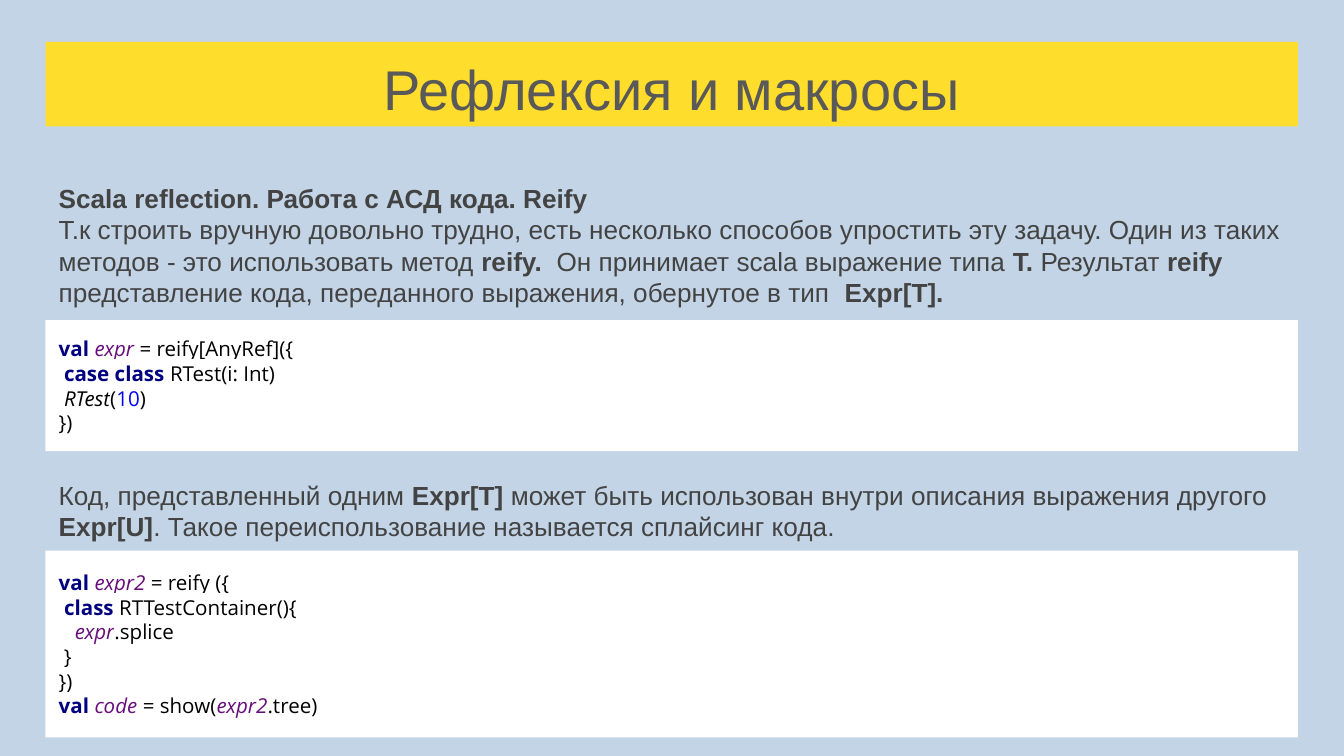
from dataclasses import dataclass

from lxml import etree
from pptx import Presentation
from pptx.dml.color import RGBColor
from pptx.enum.shapes import MSO_SHAPE
from pptx.enum.text import MSO_ANCHOR, MSO_AUTO_SIZE, PP_ALIGN
from pptx.oxml.ns import qn
from pptx.util import Cm, Pt

RECTANGLE = MSO_SHAPE.RECTANGLE
TOP, MIDDLE = MSO_ANCHOR.TOP, MSO_ANCHOR.MIDDLE
LEFT, CENTER = PP_ALIGN.LEFT, PP_ALIGN.CENTER
NO_AUTOFIT = MSO_AUTO_SIZE.NONE
TITLE_ONLY = 5


@dataclass(frozen=True)
class Theme:
    """Colours, fonts and type sizes of the slide."""
    background: str = "C3D4E6"
    banner: str = "FFDD2D"
    title: str = "595959"
    prose: str = "434343"
    panel: str = "FFFFFF"
    code: str = "000000"
    keyword: str = "000080"
    name: str = "660E7A"
    number: str = "0000FF"
    prose_font: str = "Arial"
    code_font: str = "Open Sans"
    title_size: int = 30
    prose_size: int = 14
    code_size: int = 11
    leading: float = 1.2


THEME = Theme()
PLAIN, BOLD, ITALIC = {}, {"bold": True}, {"italic": True}
KEYWORD = {"bold": True, "color": THEME.keyword}
NAME = {"italic": True, "color": THEME.name}
NUMBER = {"color": THEME.number}

REIFY_TEXT = [
    [("Scala reflection. Работа с АСД кода. Reify", BOLD)],
    [("Т.к строить вручную довольно трудно, есть несколько способов упростить эту задачу. "
      "Один из таких методов - это использовать метод ", PLAIN),
     ("reify.  ", BOLD), ("Он принимает scala выражение типа ", PLAIN),
     ("T. ", BOLD), ("Результат ", PLAIN), ("reify ", BOLD),
     ("представление кода, переданного выражения, обернутое в тип  ", PLAIN),
     ("Expr[T].", BOLD)],
]
REIFY_CODE = [
    [("val ", KEYWORD), ("expr ", NAME), ("= reify[AnyRef]({", PLAIN)],
    [(" ", PLAIN), ("case class ", KEYWORD), ("RTest(i: Int)", PLAIN)],
    [(" ", PLAIN), ("RTest", ITALIC), ("(", PLAIN), ("10", NUMBER), (")", PLAIN)],
    [("})", PLAIN)],
]
SPLICE_TEXT = [
    [("Код, представленный одним ", PLAIN), ("Expr[T]", BOLD),
     (" может быть использован внутри описания выражения другого ", PLAIN),
     ("Expr[U]", BOLD),
     (". Такое переиспользование называется сплайсинг кода.", PLAIN)],
]
SPLICE_CODE = [
    [("val ", KEYWORD), ("expr2 ", NAME), ("= reify ({", PLAIN)],
    [(" ", PLAIN), ("class ", KEYWORD), ("RTTestContainer(){", PLAIN)],
    [("   ", PLAIN), ("expr", NAME), (".splice", PLAIN)],
    [(" }", PLAIN)],
    [("})", PLAIN)],
    [("val ", KEYWORD), ("code ", NAME), ("= show(", PLAIN),
     ("expr2", NAME), (".tree)", PLAIN)],
]


def paint(fill, color):
    """Give a fill one solid colour."""
    fill.solid()
    fill.fore_color.rgb = RGBColor.from_string(color)


def highlight(run, color):
    """Mark the background of a run."""
    mark = etree.Element(qn("a:highlight"))
    etree.SubElement(mark, qn("a:srgbClr"), val=color)
    run.font.fill._xPr.find(qn("a:solidFill")).addnext(mark)


def write(frame, lines, *, font, size, color, align=LEFT, anchor=TOP, marker=None):
    """Fill a text frame with lines of styled runs."""
    frame.word_wrap = True
    frame.auto_size = NO_AUTOFIT
    frame.vertical_anchor = anchor
    frame.margin_left = frame.margin_right = Cm(0.25)
    frame.margin_top = frame.margin_bottom = Cm(0.25)
    for index, line in enumerate(lines):
        paragraph = frame.add_paragraph() if index else frame.paragraphs[0]
        paragraph.alignment = align
        paragraph.line_spacing = Pt(size * THEME.leading)
        paragraph.space_before = paragraph.space_after = Pt(0)
        for words, style in line:
            run = paragraph.add_run()
            run.text = words
            run.font.name = font
            run.font.size = Pt(size)
            run.font.bold = style.get("bold", False)
            run.font.italic = style.get("italic", False)
            paint(run.font.fill, style.get("color", color))
            if marker:
                highlight(run, marker)


def add_banner(slide, box, words):
    """Place the title on its coloured band."""
    banner = slide.shapes.title
    banner.left, banner.top, banner.width, banner.height = box
    paint(banner.fill, THEME.banner)
    write(banner.text_frame, [[(words, PLAIN)]], font=THEME.prose_font,
          size=THEME.title_size, color=THEME.title, align=CENTER)


def add_prose(slide, box, lines):
    """Place an explanation."""
    prose = slide.shapes.add_textbox(*box)
    write(prose.text_frame, lines, font=THEME.prose_font,
          size=THEME.prose_size, color=THEME.prose)


def add_code(slide, box, lines):
    """Place a code listing on a panel."""
    panel = slide.shapes.add_shape(RECTANGLE, *box)
    panel.shadow.inherit = False
    paint(panel.fill, THEME.panel)
    panel.line.fill.background()
    write(panel.text_frame, lines, font=THEME.code_font, size=THEME.code_size,
          color=THEME.code, anchor=MIDDLE, marker=THEME.panel)


def main():
    """Build and save the slide."""
    deck = Presentation()
    deck.slide_width, deck.slide_height = Cm(25.4), Cm(14.29)
    slide = deck.slides.add_slide(deck.slide_layouts[TITLE_ONLY])
    paint(slide.background.fill, THEME.background)

    def band(top, height):
        """Return a box across the content column."""
        return Cm(0.86), Cm(top), Cm(23.67), Cm(height)

    add_banner(slide, band(0.79, 1.6), "Рефлексия и макросы")
    add_prose(slide, band(3.2, 2.85), REIFY_TEXT)
    add_code(slide, band(6.05, 2.48), REIFY_CODE)
    add_prose(slide, band(8.81, 1.6), SPLICE_TEXT)
    add_code(slide, band(10.41, 3.53), SPLICE_CODE)
    deck.save("out.pptx")


if __name__ == "__main__":
    main()
